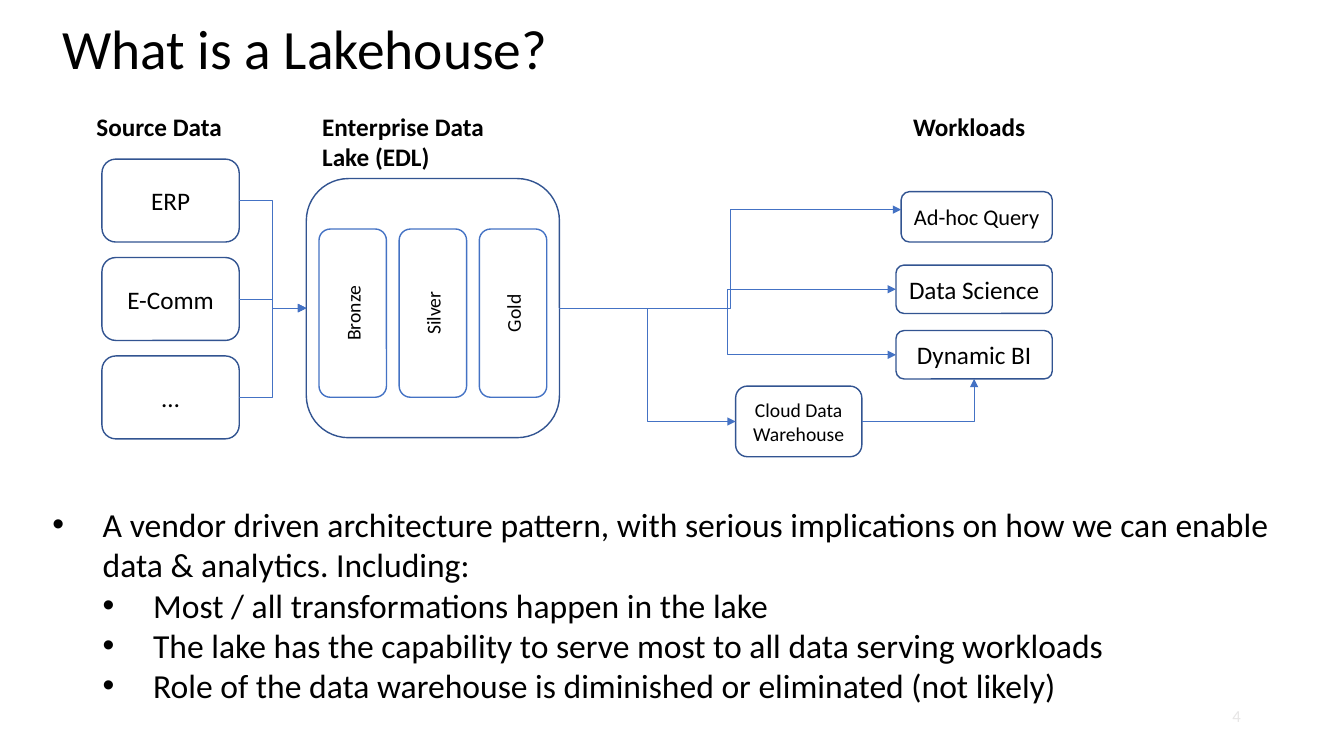
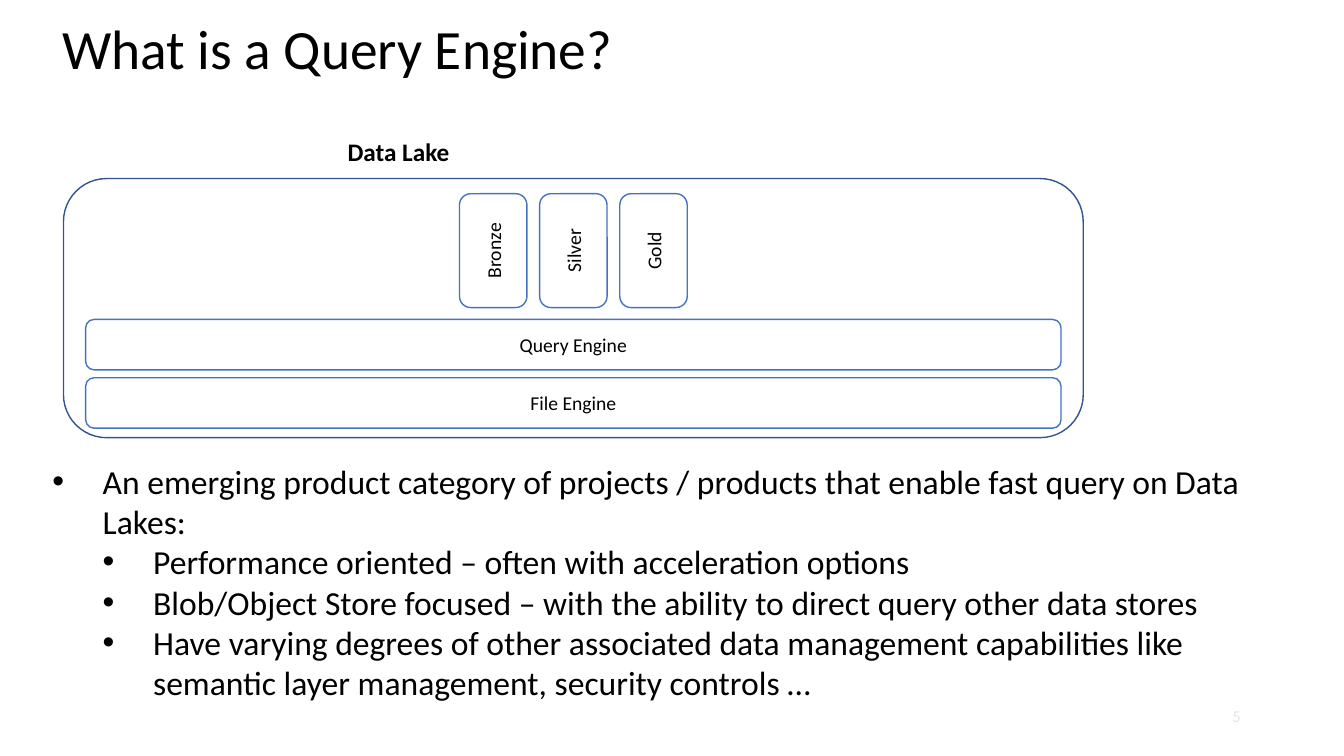
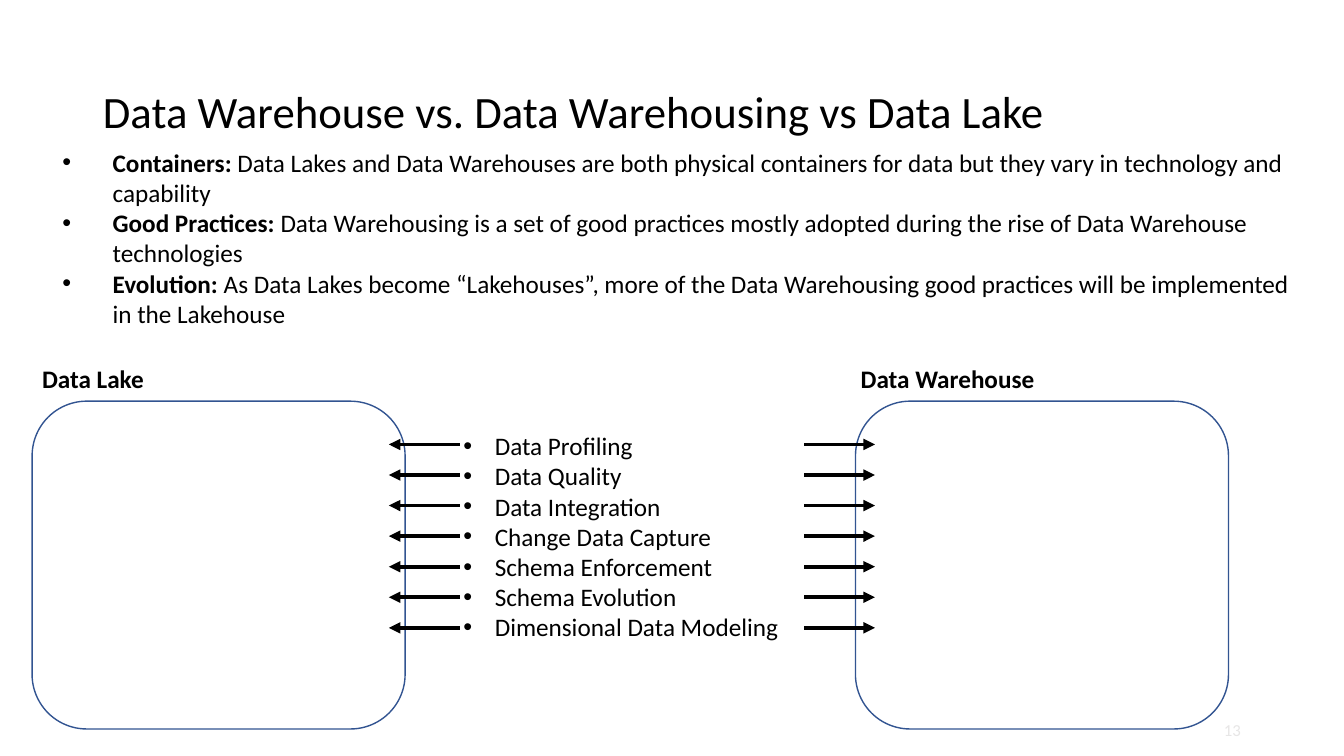
"""Build three slides about lakehouses, query engines and data warehousing."""
import dataclasses

import lxml.etree
import pptx
import pptx.dml.color
import pptx.enum.shapes
import pptx.enum.text
import pptx.oxml.ns
import pptx.util

Cm = pptx.util.Cm
qn = pptx.oxml.ns.qn
ALIGN = pptx.enum.text.PP_ALIGN
ANCHOR = pptx.enum.text.MSO_ANCHOR
CONNECTOR = pptx.enum.shapes.MSO_CONNECTOR
TOP, LEFT, BOTTOM, RIGHT = range(4)


@dataclasses.dataclass(frozen=True)
class Theme:
    """Colours, fonts and type sizes shared by the slides."""

    font: str = "Calibri"
    ink: str = "000000"
    paper: str = "FFFFFF"
    outline: str = "325491"
    accent: str = "4472C4"
    faint: str = "E7E6E6"
    title: float = 39.6
    long_title: float = 32
    body: float = 24
    label: float = 18
    query: float = 16
    small: float = 14
    number: float = 12


THEME = Theme()


@dataclasses.dataclass(frozen=True)
class Box:
    """A rectangle in centimetres."""

    left: float
    top: float
    width: float
    height: float

    def place(self, left, top, width, height):
        """Return a box placed relative to this one."""
        return Box(self.left + left, self.top + top, width, height)

    def lengths(self):
        """Return the frame as slide lengths."""
        return [Cm(value) for value in dataclasses.astuple(self)]


TITLE_BOX = Box(1.32, 0.43, 32.03, 1.75)
NUMBER_BOX = Box(29.52, 17.66, 2, 1)
LAYERS = ("Bronze", "Silver", "Gold")
LAYER_WIDTH, LAYER_PITCH = 1.7, 2.02


def rgb(colour):
    """Return a colour object for a hexadecimal value."""
    return pptx.dml.color.RGBColor.from_string(colour)


def add_run(para, text, size, bold=False, colour=THEME.ink):
    """Append one formatted run."""
    span = para.add_run()
    span.text = text
    span.font.name = THEME.font
    span.font.size = pptx.util.Pt(size)
    span.font.bold = bold
    span.font.color.rgb = rgb(colour)


def add_text_frame(shapes, box):
    """Add a wrapping text box and return its frame."""
    frame = shapes.add_textbox(*box.lengths()).text_frame
    frame.word_wrap = True
    return frame


def add_label(shapes, box, text):
    """Add a bold heading above a diagram region."""
    add_run(add_text_frame(shapes, box).paragraphs[0], text, THEME.label, True)


def add_bullets(shapes, box, items, size, indent=1.27):
    """Add a bulleted list of (level, runs) items, each run a (text, bold) pair."""
    frame = add_text_frame(shapes, box)
    for index, (level, runs) in enumerate(items):
        para = frame.add_paragraph() if index else frame.paragraphs[0]
        para.level = level
        properties = para._p.get_or_add_pPr()
        properties.set("marL", str(Cm(indent * (level + 1))))
        properties.set("indent", str(Cm(-indent)))
        lxml.etree.SubElement(properties, qn("a:buFont")).set("typeface", "Arial")
        lxml.etree.SubElement(properties, qn("a:buChar")).set("char", "•")
        for text, bold in runs:
            add_run(para, text, size, bold)


def add_outline(shapes, box, text="", size=THEME.label, colour=THEME.outline):
    """Add a rounded rectangle with centred text."""
    shape = shapes.add_shape(
        pptx.enum.shapes.MSO_SHAPE.ROUNDED_RECTANGLE, *box.lengths())
    shape.shadow.inherit = False
    shape.fill.solid()
    shape.fill.fore_color.rgb = rgb(THEME.paper)
    shape.line.color.rgb = rgb(colour)
    shape.line.width = pptx.util.Pt(1)
    if text:
        shape.text_frame.vertical_anchor = ANCHOR.MIDDLE
        para = shape.text_frame.paragraphs[0]
        para.alignment = ALIGN.CENTER
        add_run(para, text, size)
    return shape


def add_arrow(shapes, kind, start, end, colour, width):
    """Add a connector with an arrowhead at its end."""
    arrow = shapes.add_connector(kind, *start, *end)
    arrow.line.color.rgb = rgb(colour)
    arrow.line.width = pptx.util.Pt(width)
    properties = arrow.element.spPr
    line = properties.find(qn("a:ln"))
    lxml.etree.SubElement(line, qn("a:tailEnd")).set("type", "triangle")
    lxml.etree.SubElement(properties, qn("a:effectLst"))
    return arrow


def link(shapes, source, target, site=LEFT, shift=0):
    """Join the right side of one shape to a side of another."""
    start = (source.left + source.width, source.top + source.height // 2)
    if site == LEFT:
        end = (target.left, target.top + target.height // 2 + Cm(shift))
    else:
        end = (target.left + target.width // 2, target.top + target.height)
    arrow = add_arrow(shapes, CONNECTOR.ELBOW, start, end, THEME.accent, 0.5)
    arrow.begin_connect(source, RIGHT)
    if not shift:
        arrow.end_connect(target, site)
    if site == BOTTOM:
        arrow.element.spPr.find(qn("a:prstGeom")).set("prst", "bentConnector2")


def add_layers(shapes, box, top, height):
    """Add the upright layers, centred across a lake box."""
    span = LAYER_WIDTH + LAYER_PITCH * (len(LAYERS) - 1)
    first = (box.width - span + LAYER_WIDTH) / 2
    for index, name in enumerate(LAYERS):
        centre = first + index * LAYER_PITCH
        frame = box.place(centre - height / 2, top + (height - LAYER_WIDTH) / 2,
                          height, LAYER_WIDTH)
        add_outline(shapes, frame, name, THEME.small, THEME.accent).rotation = 270


def add_page(deck, title, number, title_box=TITLE_BOX, size=THEME.title,
             number_box=NUMBER_BOX):
    """Add a slide with its title and number."""
    page = deck.slides.add_slide(deck.slide_layouts.get_by_name("Title Only"))
    heading = page.shapes.title
    heading.left, heading.top, heading.width, heading.height = title_box.lengths()
    frame = heading.text_frame
    frame.word_wrap = True
    frame.auto_size = pptx.enum.text.MSO_AUTO_SIZE.NONE
    frame.vertical_anchor = ANCHOR.MIDDLE
    para = frame.paragraphs[0]
    para.alignment = ALIGN.LEFT
    para.line_spacing = 0.9
    add_run(para, title, size)
    para = add_text_frame(page.shapes, number_box).paragraphs[0]
    para.alignment = ALIGN.RIGHT
    add_run(para, str(number), THEME.number, colour=THEME.faint)
    return page


def add_lakehouse_flow(shapes, box):
    """Draw sources flowing through the lake to the workloads."""
    for left, width, height, text in (
            (0, 4.47, 1.02, "Source Data"),
            (5.69, 5.66, 1.8, "Enterprise Data Lake (EDL)"),
            (20.58, 4.42, 1.02, "Workloads")):
        add_label(shapes, box.place(left, 0, width, height), text)

    lake_box = box.place(5.54, 1.83, 6.38, 6.53)
    lake = add_outline(shapes, lake_box)
    add_layers(shapes, lake_box, 1.27, 4.24)
    for index, name in enumerate(("ERP", "E-Comm", "…")):
        frame = box.place(0.39, 1.34 + index * 2.48, 3.46, 2.09)
        link(shapes, add_outline(shapes, frame, name), lake)

    warehouse = add_outline(shapes, box.place(16.36, 7.06, 3.18, 1.78),
                            "Cloud Data Warehouse", THEME.small)
    query = add_outline(shapes, box.place(20.53, 2.16, 3.81, 1.27),
                        "Ad-hoc Query", THEME.query)
    science = add_outline(shapes, box.place(20.4, 4.01, 3.94, 1.22), "Data Science")
    reports = add_outline(shapes, box.place(20.4, 5.66, 3.94, 1.22), "Dynamic BI")
    for target in (warehouse, science, reports):
        link(shapes, lake, target)
    link(shapes, lake, query, shift=-0.18)
    link(shapes, warehouse, reports, BOTTOM)


def add_engine_stack(shapes, box):
    """Draw a lake holding the layers above two engine bars."""
    add_outline(shapes, box)
    add_layers(shapes, box, 0.38, 2.87)
    for index, name in enumerate(("Query Engine", "File Engine")):
        frame = box.place(0.56, 3.55 + index * 1.47, box.width - 1.12, 1.27)
        add_outline(shapes, frame, name, THEME.small, THEME.accent)


def add_comparison(shapes, box, practices):
    """Draw two containers with shared practices pointing at both."""
    for label_left, left, width, name in (
            (0, 0, 5.66, "Data Lake"),
            (20.63, 20.75, 8.43, "Data Warehouse")):
        add_outline(shapes, box.place(left, 1.07, 9.4, 8.26))
        add_label(shapes, box.place(label_left, 0, width, 1.02), name)
    add_bullets(shapes, box.place(10.62, 1.68, 9.4, 6.4),
                [(0, [(name, False)]) for name in practices], THEME.label, 0.79)
    for start, end in ((10.77, 8.99), (19.46, 21.24)):
        arrows = shapes.add_group_shape().shapes
        for index in range(len(practices)):
            height = Cm(box.top + 2.16 + index * 0.77)
            add_arrow(arrows, CONNECTOR.STRAIGHT, (Cm(box.left + start), height),
                      (Cm(box.left + end), height), THEME.ink, 2.75)


def outline_items(lead, points):
    """Return a lead bullet followed by second-level points."""
    return [(0, [(lead, False)])] + [(1, [(text, False)]) for text in points]


def build_lakehouse(deck):
    """Build the lakehouse slide."""
    page = add_page(deck, "What is a Lakehouse?", 4)
    add_lakehouse_flow(page.shapes, Box(2.18, 2.67, 25, 8.84))
    items = outline_items(
        "A vendor driven architecture pattern, with serious implications on how "
        "we can enable data & analytics. Including:",
        ("Most / all transformations happen in the lake",
         "The lake has the capability to serve most to all data serving workloads",
         "Role of the data warehouse is diminished or eliminated (not likely)"))
    add_bullets(page.shapes, Box(1.07, 12.57, 31.72, 5.38), items, THEME.body)


def build_query_engine(deck):
    """Build the query engine slide."""
    page = add_page(deck, "What is a Query Engine?", 5)
    add_label(page.shapes, Box(8.51, 3.3, 11.91, 1.02), "Data Lake")
    add_engine_stack(page.shapes.add_group_shape().shapes,
                     Box(1.6, 4.5, 25.7, 6.53))
    items = outline_items(
        "An emerging product category of projects / products that enable fast "
        "query on Data Lakes:",
        ("Performance oriented – often with acceleration options",
         "Blob/Object Store focused – with the ability to direct query other "
         "data stores",
         "Have varying degrees of other associated data management capabilities "
         "like semantic layer management, security controls …"))
    add_bullets(page.shapes, Box(1.07, 11.48, 31.72, 6.4), items, THEME.body)


def build_warehouse(deck):
    """Build the warehouse and lake comparison slide."""
    page = add_page(deck, "Data Warehouse vs. Data Warehousing vs Data Lake", 13,
                    Box(2.34, 1.02, 29.21, 3.68), THEME.long_title,
                    NUMBER_BOX.place(0, 0.34, 2, 1))
    points = (
        ("Containers:", " Data Lakes and Data Warehouses are both physical "
         "containers for data but they vary in technology and capability"),
        ("Good Practices: ", "Data Warehousing is a set of good practices mostly "
         "adopted during the rise of Data Warehouse technologies"),
        ("Evolution: ", "As Data Lakes become “Lakehouses”, more of the Data "
         "Warehousing good practices will be implemented in the Lakehouse"))
    add_bullets(page.shapes, Box(1.32, 3.58, 31.47, 4.88),
                [(0, [(term, True), (text, False)]) for term, text in points],
                THEME.label)
    add_comparison(page.shapes, Box(0.81, 9.04, 30.15, 9.33), (
        "Data Profiling", "Data Quality", "Data Integration",
        "Change Data Capture", "Schema Enforcement", "Schema Evolution",
        "Dimensional Data Modeling"))


def main():
    """Build and save the deck."""
    deck = pptx.Presentation()
    deck.slide_width, deck.slide_height = Cm(33.87), Cm(19.05)
    build_lakehouse(deck)
    build_query_engine(deck)
    build_warehouse(deck)
    deck.save("out.pptx")


if __name__ == "__main__":
    main()
